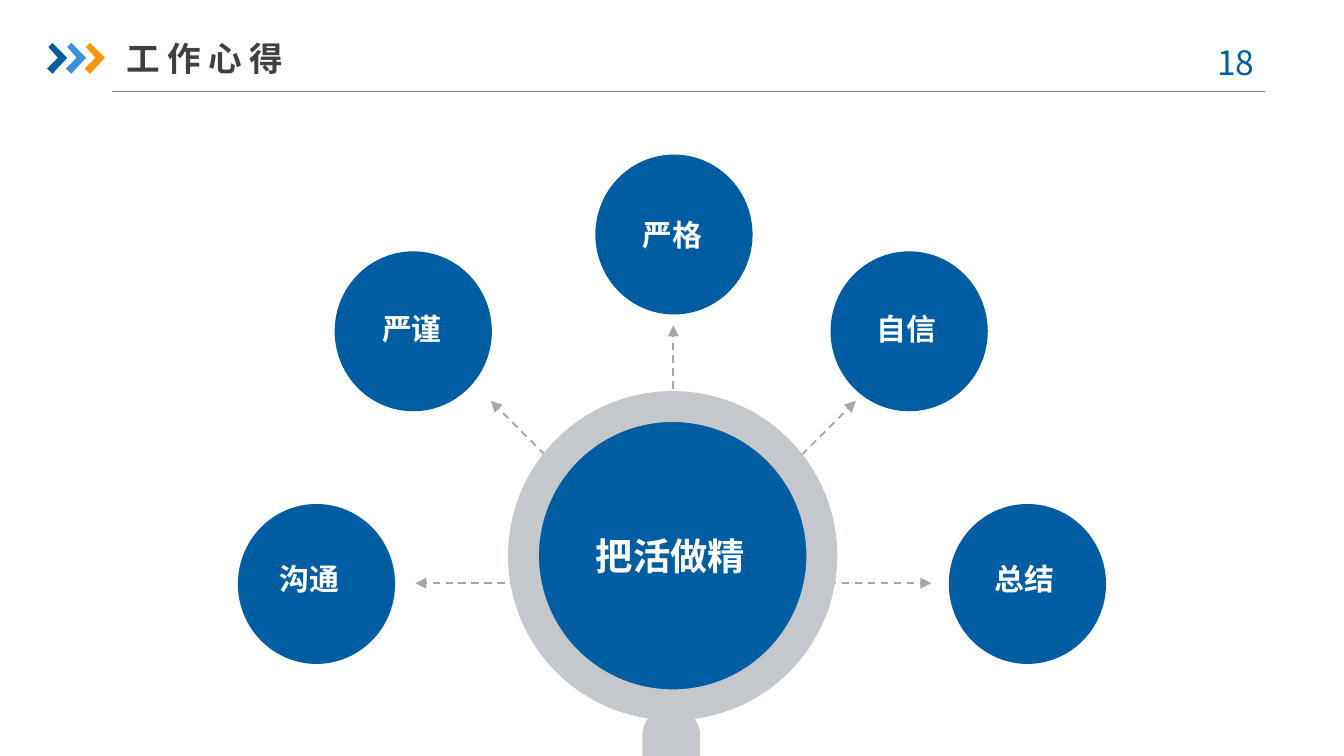
from math import cos, radians, sin

from lxml import etree
from pptx import Presentation
from pptx.dml.color import RGBColor
from pptx.enum.dml import MSO_LINE
from pptx.enum.shapes import MSO_CONNECTOR, MSO_SHAPE
from pptx.enum.text import MSO_ANCHOR, PP_ALIGN
from pptx.oxml.ns import qn
from pptx.util import Inches, Pt

BLUE = RGBColor(0x00, 0x5D, 0xA2)
LIGHT_BLUE = RGBColor(0x39, 0x92, 0xDB)
ORANGE = RGBColor(0xF7, 0x96, 0x00)
SILVER = RGBColor(0xC4, 0xC7, 0xCB)
RULE_GRAY = RGBColor(0x80, 0x80, 0x80)
ARROW_GRAY = RGBColor(0xA6, 0xA6, 0xA6)
DARK = RGBColor(0x40, 0x40, 0x40)
WHITE = RGBColor(0xFF, 0xFF, 0xFF)

LATIN_FONT = "Arial"
CJK_FONT = "Noto Sans CJK SC"
LEFT, CENTER = PP_ALIGN.LEFT, PP_ALIGN.CENTER
TOP, MIDDLE = MSO_ANCHOR.TOP, MSO_ANCHOR.MIDDLE
STRAIGHT = MSO_CONNECTOR.STRAIGHT
DASH = MSO_LINE.DASH
OVAL, DONUT, ROUNDED = MSO_SHAPE.OVAL, MSO_SHAPE.DONUT, MSO_SHAPE.ROUNDED_RECTANGLE

SLIDE_WIDTH = 10
SLIDE_HEIGHT = SLIDE_WIDTH * 9 / 16
CHEVRON = [(0.01, 0.03), (0.04, 0), (0.15, 0.11), (0.04, 0.23), (0, 0.19), (0.08, 0.11)]
BUBBLE_WIDTH, BUBBLE_HEIGHT = 1.17, 1.19
BUBBLES = [
    ("沟通", 1.77, 3.75, 0.05, 0.36),
    ("严谨", 2.49, 1.87, 0.09, 0.38),
    ("严格", 4.43, 1.15, 0.09, 0.4),
    ("自信", 6.18, 1.87, 0.08, 0.38),
    ("总结", 7.06, 3.75, 0.08, 0.36),
]


def add_text(slide, text, left, top, width, height, size=16, color=WHITE, bold=True,
             font=LATIN_FONT, align=CENTER, anchor=TOP, inset=(0.1, 0.05)):
    box = slide.shapes.add_textbox(Inches(left), Inches(top), Inches(width), Inches(height))
    frame = box.text_frame
    frame.word_wrap = True
    frame.vertical_anchor = anchor
    frame.margin_left = frame.margin_right = Inches(inset[0])
    frame.margin_top = frame.margin_bottom = Inches(inset[1])
    paragraph = frame.paragraphs[0]
    paragraph.alignment = align
    run = paragraph.add_run()
    run.text = text
    run.font.name = font
    run.font.size = Pt(size)
    run.font.bold = bold
    run.font.color.rgb = color
    east_asian = etree.SubElement(run.font._element, qn("a:ea"))
    east_asian.set("typeface", CJK_FONT)


def paint(shape, color):
    shape.shadow.inherit = False
    shape.fill.solid()
    shape.fill.fore_color.rgb = color
    shape.line.fill.background()


def add_solid(slide, kind, left, top, width, height, color):
    shape = slide.shapes.add_shape(kind, Inches(left), Inches(top), Inches(width), Inches(height))
    paint(shape, color)
    return shape


def add_line(slide, x1, y1, x2, y2, color, weight):
    line = slide.shapes.add_connector(STRAIGHT, Inches(x1), Inches(y1), Inches(x2), Inches(y2))
    line.line.color.rgb = color
    line.line.width = Pt(weight)
    etree.SubElement(line._element.spPr, qn("a:effectLst"))
    return line


def add_chevrons(slide, left, top):
    for index, color in enumerate((BLUE, LIGHT_BLUE, ORANGE)):
        points = [(Inches(left + index * 0.14 + x), Inches(top + y)) for x, y in CHEVRON]
        builder = slide.shapes.build_freeform(*points[0])
        builder.add_line_segments(points[1:], close=True)
        paint(builder.convert_to_shape(), color)


def add_header(slide, left, top):
    add_line(slide, left + 0.48, top + 0.46, left + 9.06, top + 0.46, RULE_GRAY, 0.75)
    add_chevrons(slide, left, top + 0.1)
    add_text(slide, "18 ", left + 8.51, top + 0.04, 0.73, 0.4,
             size=18, color=BLUE, bold=False, font=CJK_FONT)
    add_text(slide, "工 作 心 得", left + 0.59, top, 2.33, 0.42,
             size=18, color=DARK, align=LEFT, anchor=MIDDLE, inset=(0, 0.05))


def add_arrows(slide, center_x, center_y, length):
    for degrees in range(0, 181, 45):
        angle = radians(degrees)
        arrow = add_line(slide, center_x, center_y, center_x + length * cos(angle),
                         center_y - length * sin(angle), ARROW_GRAY, 1)
        arrow.line.dash_style = DASH
        head = etree.SubElement(arrow.line._get_or_add_ln(), qn("a:tailEnd"))
        head.set("type", "triangle")


def add_magnifier(slide, left, top, size):
    lens = 2.05
    rim = 0.23
    lens_offset = (size - lens) / 2
    add_solid(slide, OVAL, left + lens_offset, top + lens_offset, lens, lens, BLUE)
    ring = add_solid(slide, DONUT, left, top, size, size, SILVER)
    ring.adjustments[0] = rim / size
    handle = add_solid(slide, ROUNDED, left + 1, top + 2.35, 0.43, 0.88, SILVER)
    handle.adjustments[0] = 0.5
    add_text(slide, "把活做精", left + 0.41, top + 1.01, 1.6, 0.44, size=20)


def add_bubble(slide, label, left, top, label_x, label_y):
    add_solid(slide, OVAL, left, top, BUBBLE_WIDTH, BUBBLE_HEIGHT, BLUE)
    add_text(slide, label, left + label_x, top + label_y, 0.97, 0.39, inset=(0.12, 0.06))


def main():
    deck = Presentation()
    deck.slide_width, deck.slide_height = Inches(SLIDE_WIDTH), Inches(SLIDE_HEIGHT)
    slide = deck.slides.add_slide(deck.slide_layouts[6])
    add_header(slide, 0.35, 0.22)
    add_arrows(slide, 5.01, 4.34, 1.92)
    add_magnifier(slide, 3.78, 2.91, 2.45)
    for bubble in BUBBLES:
        add_bubble(slide, *bubble)
    deck.save("out.pptx")


if __name__ == "__main__":
    main()
